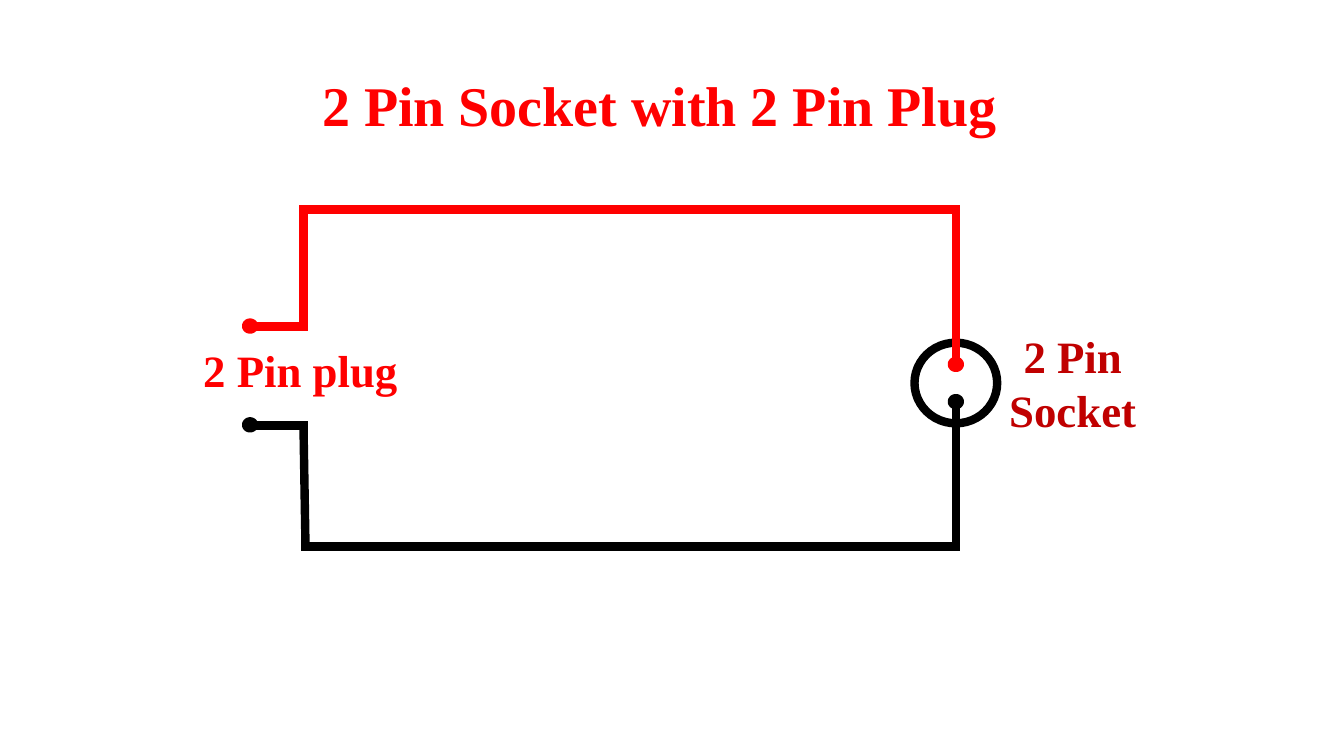
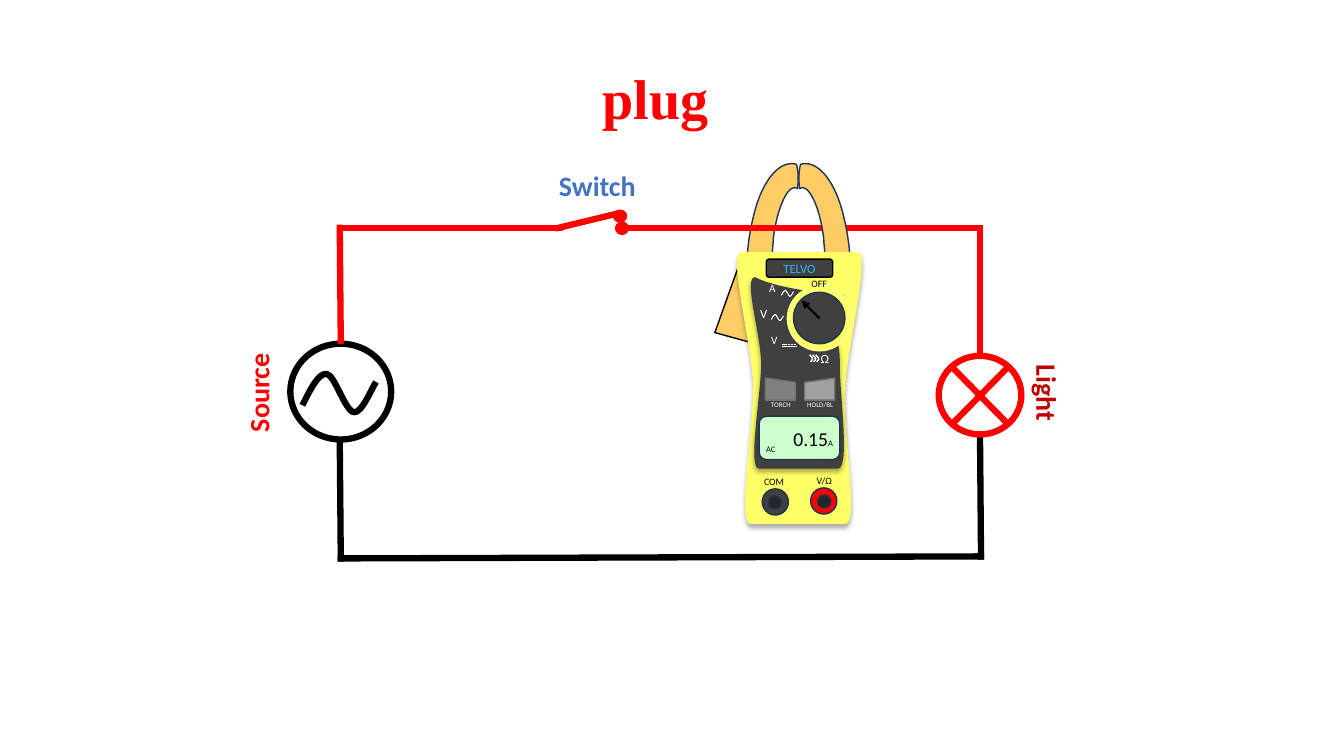
import pptx
import pptx.util
import pptx.dml.color
import pptx.enum.dml
import pptx.enum.shapes
import pptx.enum.text
import pptx.oxml
import pptx.oxml.ns
from lxml import etree

SHAPE = pptx.enum.shapes.MSO_SHAPE
ALIGN = pptx.enum.text.PP_ALIGN
ANCHOR = pptx.enum.text.MSO_ANCHOR
qn = pptx.oxml.ns.qn
SLIDE_W, SLIDE_H = 13.33, 7.5

COLORS = {
    "red": "FF0000", "crimson": "C00000", "black": "000000", "white": "FFFFFF",
    "blue": "4472C4", "display": "29B8F8", "navy": "1E3256", "jaw": "FFCC66",
    "body": "FFFF66", "rim": "FFFF99", "panel": "404040", "hole": "262626",
    "screen": "CCFFCC", "button": "808080", "button_light": "A0A0A0", "edge": "767171",
}
TIMES, CALIBRI = "Times New Roman", "Calibri"
TITLE = {"name": TIMES, "size": 40, "bold": True, "color": "red"}

PLUG_TITLE = ("2 Pin Socket with 2 Pin Plug", (2.09, 0.72, 8.9, 0.81), 0.9)
PLUG_WIRES = [
    ("red", [(2.5, 3.24), (3.01, 3.24), (3.01, 2.08), (9.48, 2.08), (9.48, 3.57)]),
    ("black", [(2.5, 4.22), (3.01, 4.22), (3.03, 5.42), (9.48, 5.42), (9.48, 3.99)]),
]
PLUG_DOTS = [("red", 2.48, 3.24), ("black", 2.48, 4.22), ("red", 9.48, 3.62), ("black", 9.48, 3.99)]
PLUG_LABELS = [
    ("2 Pin plug", (1.86, 3.35, 2.24, 0.64), "red"),
    ("2 Pin Socket", (9.81, 3.21, 1.66, 1.18), "crimson"),
]
SOCKET = (9.07, 3.4, 0.82, 0.8)

METER_TITLE = ("plug", (2.81, 0.58, 7.38, 0.77), 1.0)
WIRE_BEHIND = [("red", [(7.87, 2.26), (9.72, 2.26), (9.72, 3.53)])]
CIRCUIT_WIRES = [
    ("red", [(5.55, 2.26), (3.37, 2.26), (3.38, 3.38)]),
    ("red", [(5.54, 2.26), (6.12, 2.12)]),
    ("black", [(3.37, 4.38), (3.38, 5.54), (9.73, 5.52), (9.72, 4.31)]),
    ("red", [(6.21, 2.26), (7.94, 2.26)]),
]
CROSS_WIRES = [("red", [(9.46, 3.66), (9.98, 4.19)]), ("red", [(9.46, 4.19), (9.98, 3.66)])]
SWITCH_DOTS = [("red", 6.15, 2.15), ("red", 6.17, 2.27)]
SOURCE, LAMP = (2.88, 3.41, 1, 0.95), (9.31, 3.53, 0.82, 0.78)
CIRCUIT_LABELS = [
    ("Source", (2.22, 3.33, 1.38, 1.13), "red", 270),
    ("Switch", (5.26, 1.62, 1.33, 0.4), "blue", 0),
    ("Light", (9.5, 3.33, 1.08, 1.13), "crimson", 90),
]

JAW = [(7.41, 2.55), (7.42, 2.41, 7.44, 2.28, 7.47, 2.16), (7.55, 1.8, 7.73, 1.58, 7.9, 1.63),
       (7.92, 1.7, 7.92, 1.79, 7.91, 1.87), (7.83, 1.81, 7.71, 2.03, 7.67, 2.37),
       (7.67, 2.42, 7.66, 2.47, 7.66, 2.52)]
JAW_AXIS = 7.92
TRIGGER = [(7.09, 3.3), (7.34, 2.6), (7.69, 2.96), (7.6, 3.44)]
BODY = [(7.36, 2.5), (8.5, 2.5), (8.65, 2.5, 8.4, 3.43, 8.38, 3.88),
        (8.36, 4.32, 8.53, 5.2, 8.38, 5.2), (7.45, 5.2),
        (7.3, 5.2, 7.48, 4.26, 7.47, 3.81), (7.45, 3.36, 7.21, 2.5, 7.36, 2.5)]
PANEL = [(7.49, 2.75), (7.69, 2.86, 8.22, 2.92, 8.37, 2.93), (8.16, 3.17, 8.33, 3.29, 8.33, 3.58),
         (8.32, 3.86, 8.44, 4.65, 8.31, 4.65), (7.53, 4.65),
         (7.41, 4.65, 7.55, 3.92, 7.55, 3.6), (7.54, 3.29, 7.37, 2.75, 7.49, 2.75)]
WAVE = [(0, 0.82), (0.11, 0.39, 0.22, -0.03, 0.33, 0), (0.44, 0.03, 0.58, 0.97, 0.7, 1),
        (0.81, 1.03, 0.95, 0.34, 1, 0.21)]
SMALL_WAVES = [(7.65, 3.12, 0.12, 0.06), (7.75, 2.88, 0.12, 0.06)]
BIG_WAVE = (3, 3.71, 0.73, 0.38)
SOUND_ARC = [(8.04, 3.59), (8.05, 3.58, 8.06, 3.57, 8.06, 3.56), (8.06, 3.55, 8.03, 3.52, 8.03, 3.52)]

METER_PARTS = [
    (SHAPE.OVAL, (7.81, 2.84, 0.64, 0.64), "body", "rim"),
    (SHAPE.OVAL, (7.87, 2.9, 0.51, 0.51), "panel", "navy"),
    (SHAPE.OVAL, (7.56, 4.85, 0.26, 0.26), "panel", "navy"),
    (SHAPE.OVAL, (8.04, 4.84, 0.26, 0.26), "red", "navy"),
    (SHAPE.OVAL, (7.62, 4.92, 0.13, 0.13), "hole", "navy"),
    (SHAPE.OVAL, (8.11, 4.91, 0.13, 0.13), "hole", "navy"),
    (SHAPE.ROUNDED_RECTANGLE, (7.53, 4.13, 0.8, 0.43), "screen", "navy"),
    (SHAPE.FLOWCHART_MANUAL_INPUT, (7.59, 3.75, 0.3, 0.22), "button", "edge"),
    (SHAPE.FLOWCHART_MANUAL_INPUT, (7.98, 3.75, 0.3, 0.22), "button_light", "edge"),
]
FLIPPED_PART = 7
NAME_PLATE = (7.6, 2.57, 0.66, 0.18)
METER_TEXTS = [
    ([("V", 9)], (7.44, 2.99, 0.47, 0.32), "white", ALIGN.LEFT),
    ([("A", 8)], (7.53, 2.74, 0.41, 0.3), "white", ALIGN.LEFT),
    ([("V", 8)], (7.55, 3.26, 0.47, 0.3), "white", ALIGN.LEFT),
    ([("Ω", 9)], (8.04, 3.43, 0.37, 0.32), "white", ALIGN.LEFT),
    ([("OFF", 7)], (7.95, 2.71, 0.47, 0.28), "black", ALIGN.LEFT),
    ([("TORCH", 5)], (7.48, 3.92, 0.53, 0.2), "white", ALIGN.CENTER),
    ([("HOLD/BL", 5)], (7.87, 3.92, 0.53, 0.2), "white", ALIGN.CENTER),
    ([("V/Ω", 7)], (8, 4.66, 0.49, 0.28), "black", ALIGN.LEFT),
    ([("COM", 7)], (7.48, 4.67, 0.52, 0.28), "black", ALIGN.LEFT),
    ([("0.15", 14), ("A", 6)], (7.77, 4.19, 0.77, 0.43), "black", ALIGN.LEFT),
    ([("AC", 6)], (7.5, 4.36, 0.38, 0.26), "black", ALIGN.LEFT),
]


def inches(values):
    return [pptx.util.Inches(v) for v in values]


def rgb(name):
    return pptx.dml.color.RGBColor.from_string(COLORS[name])


def write(tf, runs, fmt, align=ALIGN.CENTER, anchor=ANCHOR.TOP):
    tf.word_wrap, tf.vertical_anchor = True, anchor
    p = tf.paragraphs[0]
    p.alignment = align
    for text, size in runs:
        r = p.add_run()
        r.text = text
        r.font.size = pptx.util.Pt(size)
        r.font.color.rgb = rgb(fmt["color"])
        for key in ("name", "bold"):
            setattr(r.font, key, fmt.get(key))
    return p


def add_text(s, runs, box, fmt, align=ALIGN.CENTER, rotation=0):
    sp = s.shapes.add_textbox(*inches(box))
    sp.rotation = rotation
    write(sp.text_frame, runs, fmt, align)


def paint(sp, fill, line, width=1.0):
    sp.shadow.inherit = False
    for part, color in ((sp.fill, fill), (sp.line.fill, line)):
        if color:
            part.solid()
            part.fore_color.rgb = rgb(color)
        else:
            part.background()
    if line:
        sp.line.width = pptx.util.Pt(width)
    return sp


def add_part(s, kind, box, fill, line, width=1.0):
    return paint(s.shapes.add_shape(kind, *inches(box)), fill, line, width)


def add_dots(s, dots, width):
    for color, x, y in dots:
        add_part(s, SHAPE.OVAL, (x - 0.04, y - 0.04, 0.08, 0.07), color, color, width)


def add_line(s, start, end, color, width, cap="flat", dash=None, arrow=False):
    c = s.shapes.add_connector(pptx.enum.shapes.MSO_CONNECTOR.STRAIGHT, *inches(start + end))
    c.line.color.rgb = rgb(color)
    c.line.width = pptx.util.Pt(width)
    if dash:
        c.line.dash_style = dash
    ln = c._element.spPr.find(qn("a:ln"))
    ln.set("cap", cap)
    if arrow:
        etree.SubElement(ln, qn("a:tailEnd"), type="triangle")
    etree.SubElement(c._element.spPr, qn("a:effectLst"))


def add_wires(s, wires, width):
    for color, points in wires:
        for start, end in zip(points, points[1:]):
            add_line(s, start, end, color, width, cap="sq")


def place(outline, dx=0, dy=0, sx=1, sy=1):
    return [tuple(v * (sy if i % 2 else sx) + (dy if i % 2 else dx) for i, v in enumerate(seg))
            for seg in outline]


def bounds(outline, steps=20):
    points = [seg[-2:] for seg in outline]
    for before, seg in zip(outline, outline[1:]):
        if len(seg) == 6:
            nodes = [before[-2:], seg[:2], seg[2:4], seg[4:]]
            for t in (i / steps for i in range(1, steps)):
                weights = ((1 - t) ** 3, 3 * t * (1 - t) ** 2, 3 * t * t * (1 - t), t ** 3)
                points.append([sum(w * n[k] for w, n in zip(weights, nodes)) for k in (0, 1)])
    xs, ys = zip(*points)
    return min(xs), min(ys), max(xs) - min(xs), max(ys) - min(ys)


def add_outline(s, outline, fill, line, width=1.0, close=True):
    ends = [inches(seg[-2:]) for seg in outline]
    fb = s.shapes.build_freeform(*ends[0])
    fb.add_line_segments(ends[1:], close=close)
    sp = fb.convert_to_shape()
    left, top, w, h = inches(bounds(outline))
    sp.left, sp.top, sp.width, sp.height = left, top, w, h
    track = sp._element.spPr.find(".//" + qn("a:path"))
    track.set("w", str(w))
    track.set("h", str(h))
    for step, seg in zip(list(track), outline):
        for pt in list(step):
            step.remove(pt)
        if len(seg) == 6:
            step.tag = qn("a:cubicBezTo")
        for x, y in zip(inches(seg[::2]), inches(seg[1::2])):
            etree.SubElement(step, qn("a:pt"), x=str(x - left), y=str(y - top))
    return paint(sp, fill, line, width)


def add_shadow(sp):
    effects = sp._element.spPr.find(qn("a:effectLst"))
    shadow = etree.SubElement(effects, qn("a:outerShdw"), blurRad="44450", dist="27940",
                              dir="5400000", rotWithShape="0")
    color = etree.SubElement(shadow, qn("a:srgbClr"), val=COLORS["black"])
    etree.SubElement(color, qn("a:alpha"), val="32000")


def add_wave(s, box, color, width):
    add_outline(s, place(WAVE, *box), None, color, width, close=False)


def add_slide(prs, title):
    text, box, spacing = title
    s = prs.slides.add_slide(prs.slide_layouts[5])
    sp = s.shapes.title
    sp.left, sp.top, sp.width, sp.height = inches(box)
    p = write(sp.text_frame, [(text, TITLE["size"])], TITLE)
    p.line_spacing = spacing
    return s


def add_meter(s):
    for jaw in (JAW, place(JAW, dx=2 * JAW_AXIS, sx=-1)):
        add_outline(s, jaw, "jaw", "navy")
    add_outline(s, TRIGGER, "jaw", "black")
    for outline, fill in ((BODY, "body"), (PANEL, "panel")):
        add_shadow(add_outline(s, outline, fill, None))
    for i, part in enumerate(METER_PARTS):
        sp = add_part(s, *part)
        if i == FLIPPED_PART:
            sp._element.spPr.find(qn("a:xfrm")).set("flipH", "1")
    add_line(s, (8.13, 3.16), (7.95, 2.98), "black", 1.5, arrow=True)
    plate = add_part(s, SHAPE.ROUNDED_RECTANGLE, NAME_PLATE, "panel", "black")
    write(plate.text_frame, [("TELVO", 9)], {"name": CALIBRI, "color": "display"},
          anchor=ANCHOR.MIDDLE)
    for box in SMALL_WAVES:
        add_wave(s, box, "white", 0.75)
    for y, dash in ((3.42, pptx.enum.dml.MSO_LINE.SQUARE_DOT), (3.44, None)):
        add_line(s, (7.76, y), (7.9, y), "white", 0.5, dash=dash)
    for i in range(3):
        add_outline(s, place(SOUND_ARC, dx=0.03 * i), None, "white", close=False)
    for runs, box, color, align in METER_TEXTS:
        add_text(s, runs, box, {"name": CALIBRI, "color": color}, align)


def build_plug(prs):
    s = add_slide(prs, PLUG_TITLE)
    add_part(s, SHAPE.OVAL, SOCKET, "white", "black", 6)
    add_wires(s, PLUG_WIRES, 6)
    add_dots(s, PLUG_DOTS, 6)
    for text, box, color in PLUG_LABELS:
        add_text(s, [(text, 32)], box, {"name": TIMES, "bold": True, "color": color})


def build_circuit(prs):
    s = add_slide(prs, METER_TITLE)
    add_wires(s, WIRE_BEHIND, 4.5)
    add_meter(s)
    add_part(s, SHAPE.OVAL, SOURCE, "white", "black", 4.5)
    add_wave(s, BIG_WAVE, "black", 4.5)
    add_wires(s, CIRCUIT_WIRES, 4.5)
    add_dots(s, SWITCH_DOTS, 4.5)
    add_part(s, SHAPE.OVAL, LAMP, "white", "red", 4.5)
    add_wires(s, CROSS_WIRES, 4.5)
    for text, box, color, rotation in CIRCUIT_LABELS:
        add_text(s, [(text, 20)], box, {"name": CALIBRI, "bold": True, "color": color},
                 rotation=rotation)


def main():
    prs = pptx.Presentation()
    prs.slide_width, prs.slide_height = inches((SLIDE_W, SLIDE_H))
    build_plug(prs)
    build_circuit(prs)
    prs.save("out.pptx")


if __name__ == "__main__":
    main()
